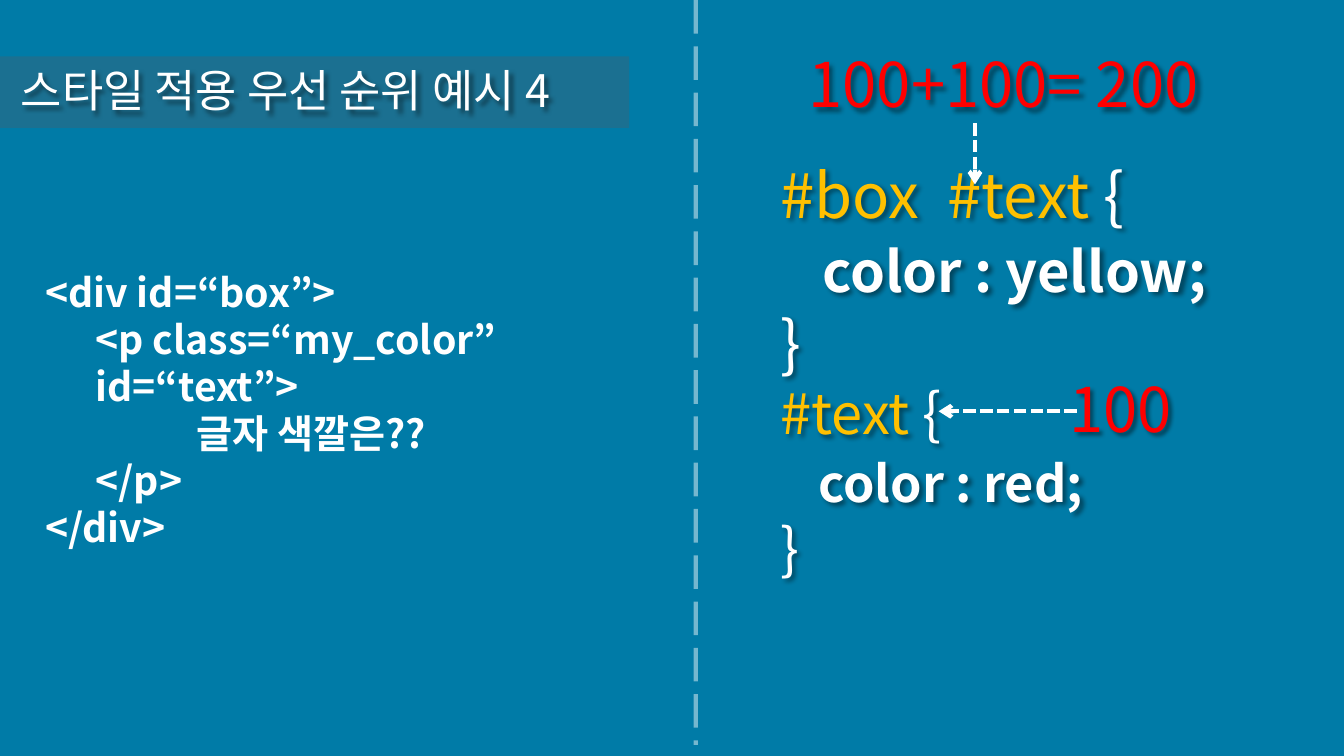
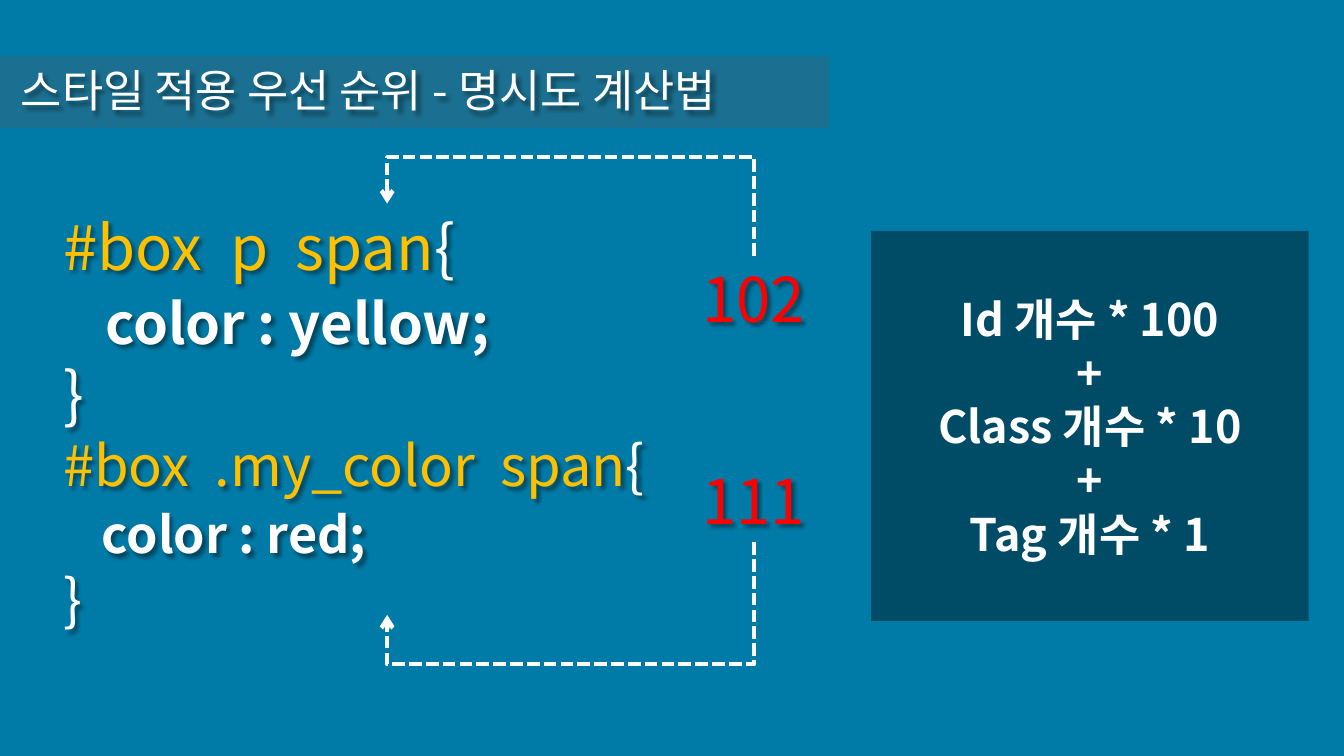
from lxml.etree import SubElement
from pptx import Presentation
from pptx.dml.color import RGBColor
from pptx.enum.dml import MSO_LINE
from pptx.enum.shapes import MSO_CONNECTOR as LINK, MSO_SHAPE
from pptx.enum.text import MSO_ANCHOR as ANCHOR, PP_ALIGN as ALIGN
from pptx.oxml.ns import qn
from pptx.util import Inches, Pt

FONT = "Noto Sans CJK KR"
BLUE, BAND, BLACK = "007BA7", "615758", "000000"
WHITE, GOLD, RED = "FFFFFF", "FFC000", "FF0000"


def rgb(value):
    """Turn a hex string into a colour."""
    return RGBColor.from_string(value)


def add_xml(parent, tag, **attributes):
    """Append a DrawingML element with the given attributes."""
    return SubElement(parent, qn(tag), {key: str(value) for key, value in attributes.items()})


def set_alpha(element, percent):
    """Make the first solid colour inside an element partly transparent."""
    color = next(element.iter(qn("a:srgbClr")))
    add_xml(color, "a:alpha", val=percent * 1000)


def add_run(paragraph, text, size, color=WHITE, bold=False):
    """Add a run in the deck font, without pair kerning."""
    run = paragraph.add_run()
    run.text = text
    run.font.color.rgb = rgb(color)
    for name, value in {"size": Pt(size), "bold": bold, "name": FONT}.items():
        setattr(run.font, name, value)
    properties = run.font._element
    properties.set("kern", "0")
    add_xml(properties, "a:ea", typeface=FONT)


def fill_text(frame, lines, align=ALIGN.LEFT, anchor=ANCHOR.TOP):
    """Fill a frame with lines, each an indent in inches and a list of run settings."""
    for name, value in {"word_wrap": True, "vertical_anchor": anchor}.items():
        setattr(frame, name, value)
    for index, (indent, runs) in enumerate(lines):
        paragraph = frame.add_paragraph() if index else frame.paragraphs[0]
        paragraph.alignment = align
        if indent:
            paragraph._p.get_or_add_pPr().set("marL", str(Inches(indent)))
        for run in runs:
            add_run(paragraph, **run)


def add_text(slide, box, lines, align=ALIGN.LEFT, shadow=True):
    """Place a text box, with a soft shadow behind its text if wanted."""
    words = slide.shapes.add_textbox(*map(Inches, box))
    fill_text(words.text_frame, lines, align)
    if shadow:
        effects = add_xml(words._element.spPr, "a:effectLst")
        cast = add_xml(effects, "a:outerShdw", blurRad=38100, dist=38100, dir=2700000, algn="tl")
        add_xml(cast, "a:srgbClr", val=BLACK)
        set_alpha(cast, 43)


def add_block(slide, box, color, alpha):
    """Place a translucent rectangle without an outline."""
    block = slide.shapes.add_shape(MSO_SHAPE.RECTANGLE, *map(Inches, box))
    block.shadow.inherit = False
    block.fill.solid()
    block.fill.fore_color.rgb = rgb(color)
    set_alpha(block._element.spPr, alpha)
    block.line.fill.background()
    return block


def add_line(slide, start, end, kind=LINK.STRAIGHT, dash=MSO_LINE.SQUARE_DOT, arrow=True):
    """Draw a dashed white line, with an arrowhead at its end if wanted."""
    connector = slide.shapes.add_connector(kind, *map(Inches, (*start, *end)))
    for name, value in {"width": Pt(3), "dash_style": dash}.items():
        setattr(connector.line, name, value)
    connector.line.color.rgb = rgb(WHITE)
    if arrow:
        add_xml(connector.line._ln, "a:tailEnd", type="arrow")
    add_xml(connector._element.spPr, "a:effectLst")
    return connector


def add_detour(slide, start, end, bend):
    """Draw an elbow arrow that leaves and arrives vertically, crossing at height bend."""
    (x0, y0), (x1, y1) = start, end
    turn = 1 if y1 > y0 else -1
    center_x, center_y = (x0 + x1) / 2, (y0 + y1) / 2
    half_x, half_y = turn * (y0 - y1) / 2, turn * (x1 - x0) / 2
    connector = add_line(slide, (center_x + half_x, center_y + half_y),
                         (center_x - half_x, center_y - half_y), LINK.ELBOW)
    properties = connector._element.spPr
    properties.find(qn("a:xfrm")).set("rot", str(turn * 90 % 360 * 60000))
    guides = properties.find(qn("a:prstGeom")).find(qn("a:avLst"))
    ratio = round((bend - y0) / (y1 - y0) * 100000)
    add_xml(guides, "a:gd", name="adj1", fmla=f"val {ratio}")


def new_slide(deck, title, band_width):
    """Start a blue slide with a title on a band."""
    slide = deck.slides.add_slide(deck.slide_layouts[6])
    slide.background.fill.solid()
    slide.background.fill.fore_color.rgb = rgb(BLUE)
    add_block(slide, (0, 0.56, band_width, 0.71), BAND, 28)
    add_text(slide, (0.11, 0.57, 8.72, 0.64), [(0, [dict(text=title, size=32)])])
    return slide


def add_rules(slide, left, top, first, second):
    """Place two CSS rules, the second a little smaller."""
    lines = []
    for selector, color, size in ((first, "yellow", 44), (second, "red", 40)):
        lines += [
            (0, [dict(text=selector, size=size, color=GOLD), dict(text="{", size=size)]),
            (0, [dict(text="   ", size=size, bold=True),
                 dict(text=f"color : {color};", size=size - 4, bold=True)]),
            (0, [dict(text="}", size=size)]),
        ]
    add_text(slide, (left, top, 6.62, 4.41), lines)


def add_score(slide, left, top, score, width=1.49):
    """Place a red specificity score."""
    add_text(slide, (left, top, width, 0.84),
             [(0, [dict(text=score, size=44, color=RED)])], ALIGN.CENTER)


def add_markup(slide, box):
    """Place the HTML fragment."""
    markup = [
        (0, "<div id=“box”>"),
        (0.5, "<p class=“my_color”"),
        (0.5, "id=“text”>"),
        (1.5, "글자 색깔은??"),
        (0.5, "</p>"),
        (0, "</div>"),
    ]
    add_text(slide, box, [(indent, [dict(text=text, size=28, bold=True)])
                          for indent, text in markup], shadow=False)


def add_formula(slide, box):
    """Place the dark panel with the specificity formula."""
    terms = ["Id 개수 * 100", "+", "Class 개수 * 10", "+", "Tag 개수 * 1"]
    panel = add_block(slide, box, BLACK, 39)
    fill_text(panel.text_frame, [(0, [dict(text=term, size=32, bold=True)])
                                 for term in terms], ALIGN.CENTER, ANCHOR.MIDDLE)


def build_example(deck):
    """Build the slide that pairs markup with two competing rules."""
    slide = new_slide(deck, "스타일 적용 우선 순위 예시 4", 6.24)
    add_markup(slide, (0.35, 2.61, 6.4, 2.93))
    divider = add_line(slide, (6.9, 0), (6.9, 7.39), dash=MSO_LINE.LONG_DASH, arrow=False)
    set_alpha(divider.line._ln, 45)
    add_rules(slide, 7.64, 1.51, "#box  #text ", "#text ")
    add_score(slide, 7.59, 0.41, "100+100= 200", 4.73)
    add_score(slide, 10.37, 3.63, "100")
    add_line(slide, (9.67, 1.22), (9.67, 1.83))
    add_line(slide, (10.68, 4.08), (9.31, 4.08))


def build_calculation(deck):
    """Build the slide that explains how specificity is counted."""
    slide = new_slide(deck, "스타일 적용 우선 순위 - 명시도 계산법", 8.22)
    add_rules(slide, 0.53, 2.02, "#box  p  span", "#box  .my_color  span")
    add_formula(slide, (8.64, 2.29, 4.34, 3.87))
    add_score(slide, 6.73, 2.54, "102")
    add_score(slide, 6.73, 4.54, "111")
    add_detour(slide, (7.48, 2.54), (3.84, 2.02), 1.56)
    add_detour(slide, (7.48, 5.38), (3.84, 6.1), 6.59)


def main():
    """Build and save the deck."""
    deck = Presentation()
    deck.slide_width, deck.slide_height = Inches(13.33), Inches(7.5)
    build_example(deck)
    build_calculation(deck)
    deck.save("out.pptx")


if __name__ == "__main__":
    main()
